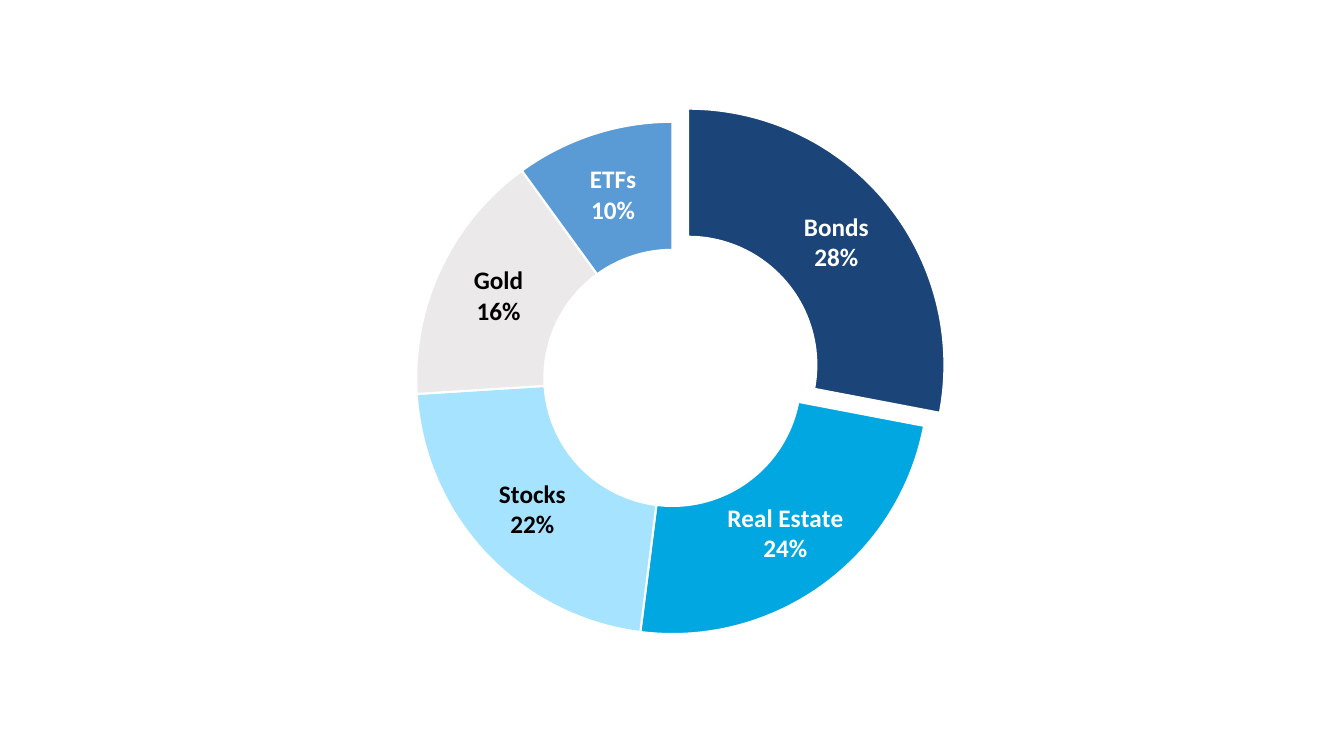
from lxml.etree import SubElement
from pptx import Presentation
from pptx.chart.data import CategoryChartData
from pptx.dml.color import RGBColor
from pptx.enum.chart import XL_CHART_TYPE
from pptx.oxml import parse_xml
from pptx.oxml.ns import nsdecls, qn
from pptx.util import Inches, Pt

WHITE = RGBColor(0xFF, 0xFF, 0xFF)
BLACK = RGBColor(0x00, 0x00, 0x00)
NAVY = RGBColor(0x1B, 0x44, 0x79)
CYAN = RGBColor(0x00, 0xA7, 0xE1)
PALE_BLUE = RGBColor(0xA6, 0xE3, 0xFF)
LIGHT_GREY = RGBColor(0xEB, 0xE9, 0xE9)
MID_BLUE = RGBColor(0x5B, 0x9B, 0xD5)
DARK_GREY = RGBColor(0x40, 0x40, 0x40)

# Asset, share in percent, slice colour, label colour
ASSETS = [
    ("Bonds", 28, NAVY, WHITE),
    ("Real Estate", 24, CYAN, WHITE),
    ("Stocks", 22, PALE_BLUE, BLACK),
    ("Gold", 16, LIGHT_GREY, BLACK),
    ("ETFs", 10, MID_BLUE, WHITE),
]
HOLE_PERCENT = 46
EXPLOSION_PERCENT = 16
PLOT_WIDTH, PLOT_HEIGHT = 0.85, 0.88


def format_font(font, color, size, bold):
    settings = {"name": "Calibri", "size": Pt(size), "bold": bold}
    for name, value in settings.items():
        setattr(font, name, value)
    font.color.rgb = color


def add_doughnut(page):
    data = CategoryChartData()
    data.categories = [asset[0] for asset in ASSETS]
    data.add_series("Series 1", [asset[1] for asset in ASSETS])
    frame = page.shapes.add_chart(
        XL_CHART_TYPE.DOUGHNUT,
        Inches(3.68), Inches(0.86), Inches(5.98), Inches(5.78), data)
    chart = frame.chart
    chart.has_title = False
    chart.has_legend = False
    chart.plots[0].vary_by_categories = True
    format_font(chart.font, BLACK, 10, False)
    return chart


def format_slices(series):
    format_font(series.data_labels.font, DARK_GREY, 18, True)
    for index, (_, _, fill_color, label_color) in enumerate(ASSETS):
        point = series.points[index]
        point.format.fill.solid()
        point.format.fill.fore_color.rgb = fill_color
        point.format.line.color.rgb = WHITE
        point.format.line.width = Pt(1.5)
        format_font(point.data_label.font, label_color, 18, True)


def show_name_and_percent(series):
    """Put the category over its percentage in every label of the series."""
    flags = {"showVal": "0", "showCatName": "1", "showPercent": "1"}
    for flag, value in flags.items():
        for element in series._element.xpath(f".//c:{flag}"):
            element.set("val", value)
    for element in series._element.xpath(".//c:showBubbleSize"):
        separator = parse_xml(f"<c:separator {nsdecls('c')}>\n</c:separator>")
        element.addnext(separator)


def explode_first_slice(series):
    explosion = parse_xml(
        f'<c:explosion {nsdecls("c")} val="{EXPLOSION_PERCENT}"/>')
    series._element.xpath("c:dPt[1]/c:spPr")[0].addprevious(explosion)


def set_ring_geometry(chart):
    """Set the hole and centre the plot area in the chart."""
    space = chart._chartSpace
    space.xpath(".//c:holeSize")[0].set("val", str(HOLE_PERCENT))
    plot_area = space.xpath(".//c:plotArea")[0]
    for element in plot_area.xpath("c:layout"):
        plot_area.remove(element)
    layout = parse_xml(f"<c:layout {nsdecls('c')}/>")
    plot_area.insert(0, layout)
    manual = SubElement(layout, qn("c:manualLayout"))
    values = {
        "layoutTarget": "inner", "xMode": "edge", "yMode": "edge",
        "x": (1 - PLOT_WIDTH) / 2, "y": (1 - PLOT_HEIGHT) / 2,
        "w": PLOT_WIDTH, "h": PLOT_HEIGHT,
    }
    for name, value in values.items():
        text = value if isinstance(value, str) else f"{value:.3f}"
        SubElement(manual, qn(f"c:{name}")).set("val", text)


def main():
    deck = Presentation()
    deck.slide_width = Inches(13.33)
    deck.slide_height = Inches(7.5)
    page = deck.slides.add_slide(deck.slide_layouts[6])
    chart = add_doughnut(page)
    series = chart.plots[0].series[0]
    format_slices(series)
    show_name_and_percent(series)
    explode_first_slice(series)
    set_ring_geometry(chart)
    deck.save("out.pptx")


if __name__ == "__main__":
    main()
